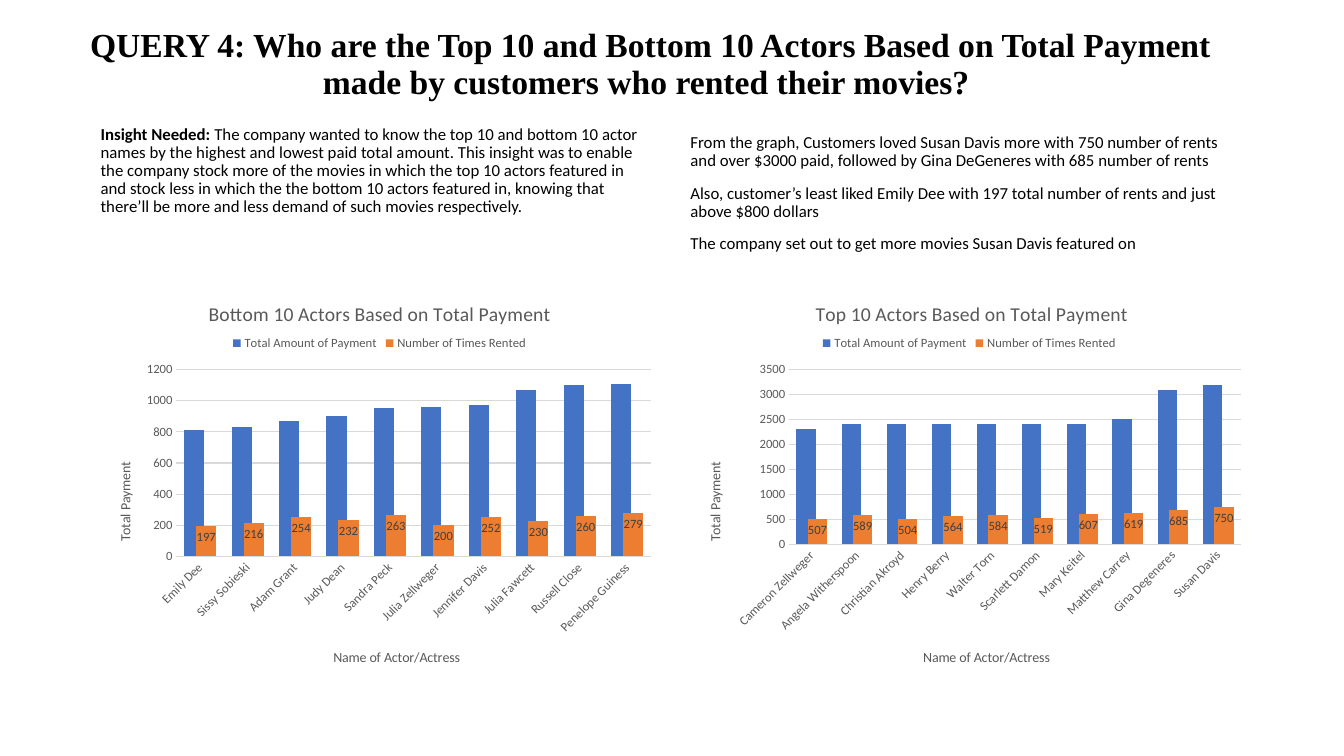
from lxml import etree
from pptx import Presentation
from pptx.chart.data import CategoryChartData
from pptx.dml.color import RGBColor
from pptx.enum.chart import XL_CHART_TYPE, XL_LABEL_POSITION, XL_LEGEND_POSITION, XL_TICK_MARK
from pptx.enum.text import MSO_ANCHOR, PP_ALIGN
from pptx.oxml import parse_xml
from pptx.oxml.ns import nsdecls, qn
from pptx.util import Inches, Pt

BLACK = RGBColor(0, 0, 0)
GRAY = RGBColor(0x59, 0x59, 0x59)
DARK = RGBColor(0x40, 0x40, 0x40)
GRID = RGBColor(0xD9, 0xD9, 0xD9)
BLUE = RGBColor(0x44, 0x72, 0xC4)
ORANGE = RGBColor(0xED, 0x7D, 0x31)

W, H = 13.33, 7.5
LEFT, RIGHT, COL_W = 0.9, 6.75, 5.67
TEXT_Y, TEXT_H = 0.98, 1.76
CHART_Y, CHART_H = TEXT_Y + TEXT_H, 4.03


def set_font(font, size, color, name="Calibri", bold=False):
    for key, value in dict(size=Pt(size), name=name, bold=bold).items():
        setattr(font, key, value)
    font.color.rgb = color


def add_text(s, box, paragraphs, anchor, bottom=0.05, align=PP_ALIGN.LEFT,
             before=10, size=12, name="Calibri"):
    """Each paragraph is a list of (text, bold) runs."""
    tf = s.shapes.add_textbox(*map(Inches, box)).text_frame
    for key, value in dict(word_wrap=True, vertical_anchor=anchor,
                           margin_bottom=Inches(bottom)).items():
        setattr(tf, key, value)
    for i, runs in enumerate(paragraphs):
        p = tf.add_paragraph() if i else tf.paragraphs[0]
        for key, value in dict(alignment=align, line_spacing=0.9,
                               space_before=Pt(before)).items():
            setattr(p, key, value)
        for text, bold in runs:
            r = p.add_run()
            r.text = text
            set_font(r.font, size, BLACK, name, bold)


def set_layout(element, inner=False, **shares):
    """Place a chart part by shares (x, y, w, h) of the chart's size."""
    for old in element.findall(qn("c:layout")):
        element.remove(old)
    layout = parse_xml(f"<c:layout {nsdecls('c')}><c:manualLayout/></c:layout>")
    values = {"layoutTarget": "inner"} if inner else {}
    values.update({f"{key}Mode": "edge" for key in "xy"}, **shares)
    for key, value in values.items():
        etree.SubElement(layout[0], qn(f"c:{key}")).set("val", str(value))
    before = [c for c in element if c.tag in (qn("c:tx"), qn("c:legendPos"))]
    element.insert(element.index(before[-1]) + 1 if before else 0, layout)


def add_title(owner, title, text, size, x, y):
    tf = title.text_frame
    tf.text = text
    set_font(tf.paragraphs[0].runs[0].font, size, GRAY)
    set_layout(title._element, x=x, y=y)
    return tf


def add_actor_chart(s, box, title, title_x, plot, top, step, actors):
    data = CategoryChartData()
    data.categories = [name for name, _, _ in actors]
    data.add_series("Total Amount of Payment", [paid for _, paid, _ in actors])
    data.add_series("Number of Times Rented", [rents for _, _, rents in actors])
    chart = s.shapes.add_chart(XL_CHART_TYPE.COLUMN_CLUSTERED, *map(Inches, box), data).chart
    set_font(chart.font, 10, BLACK)
    add_title(chart, chart.chart_title, title, 14, title_x, 0.05)
    chart.chart_title.include_in_layout = False

    # Legend
    chart.has_legend = True
    legend = chart.legend
    legend.position, legend.include_in_layout = XL_LEGEND_POSITION.TOP, False
    set_font(legend.font, 9, GRAY)
    set_layout(legend._element, x=0.24, y=0.13, w=0.53, h=0.07)

    # Columns
    bars = chart.plots[0]
    for key, value in dict(gap_width=75, overlap=40, vary_by_categories=False).items():
        setattr(bars, key, value)
    for series, color in zip(bars.series, (BLUE, ORANGE)):
        series.format.fill.solid()
        series.format.fill.fore_color.rgb = color
    labels = bars.series[1].data_labels
    labels.show_value, labels.position = True, XL_LABEL_POSITION.INSIDE_END
    set_font(labels.font, 9, DARK)

    # Axes
    for axis, text, x, y in ((chart.category_axis, "Name of Actor/Actress", 0.42, 0.91),
                             (chart.value_axis, "Total Payment", 0.04, 0.45)):
        axis.major_tick_mark = axis.minor_tick_mark = XL_TICK_MARK.NONE
        set_font(axis.tick_labels.font, 9, GRAY)
        tf = add_title(axis, axis.axis_title, text, 10, x, y)
    tf._txBody.bodyPr.set("rot", "-5400000")
    cat, val = chart.category_axis, chart.value_axis
    cat._element.find(qn("c:txPr")).find(qn("a:bodyPr")).set("rot", "-2700000")
    val.minimum_scale, val.maximum_scale, val.major_unit = 0, top, step
    val.format.line.fill.background()
    for line in (cat.format.line, val.major_gridlines.format.line):
        line.color.rgb, line.width = GRID, Pt(0.75)
    set_layout(chart._chartSpace.chart.plotArea, True, **dict(zip("xywh", plot)))


BOTTOM_ACTORS = [
    ("Emily Dee", 810, 197), ("Sissy Sobieski", 830, 216), ("Adam Grant", 870, 254),
    ("Judy Dean", 900, 232), ("Sandra Peck", 950, 263), ("Julia Zellweger", 960, 200),
    ("Jennifer Davis", 970, 252), ("Julia Fawcett", 1070, 230),
    ("Russell Close", 1100, 260), ("Penelope Guiness", 1110, 279)]
TOP_ACTORS = [
    ("Cameron Zellweger", 2300, 507), ("Angela Witherspoon", 2400, 589),
    ("Christian Akroyd", 2400, 504), ("Henry Berry", 2400, 564), ("Walter Torn", 2400, 584),
    ("Scarlett Damon", 2400, 519), ("Mary Keitel", 2400, 607), ("Matthew Carrey", 2500, 619),
    ("Gina Degeneres", 3100, 685), ("Susan Davis", 3200, 750)]

prs = Presentation()
prs.slide_width, prs.slide_height = Inches(W), Inches(H)
s = prs.slides.add_slide(prs.slide_layouts[6])

# Heading
add_text(s, (0.7, 0.35, 11.5, 0.59),
         [[("QUERY 4: Who are the Top 10 and Bottom 10 Actors Based on Total Payment "
            "made by customers who rented their movies? ", True)]],
         MSO_ANCHOR.MIDDLE, align=PP_ALIGN.CENTER, before=0, size=24, name="Times New Roman")

# Insight and findings
add_text(s, (LEFT, TEXT_Y, COL_W, TEXT_H),
         [[("Insight Needed: ", True),
           ("The company wanted to know the top 10 and bottom 10 actor names by the highest and "
            "lowest paid total amount. This insight was to enable the company stock more of the "
            "movies in which the top 10 actors featured in and stock less in which the the bottom "
            "10 actors featured in, knowing that there’ll be more and less demand of such movies "
            "respectively.", False)]], MSO_ANCHOR.MIDDLE, bottom=0.37)
add_text(s, (RIGHT, TEXT_Y, COL_W, TEXT_H),
         [[(text, False)] for text in (
             "From the graph, Customers loved Susan Davis more with 750 number of rents and over "
             "$3000 paid, followed by Gina DeGeneres with 685 number of rents",
             "Also, customer’s least liked Emily Dee with 197 total number of rents and just "
             "above $800 dollars",
             "The company set out to get more movies Susan Davis featured on")],
         MSO_ANCHOR.BOTTOM, bottom=0.23)

# Charts
add_actor_chart(s, (RIGHT, CHART_Y, COL_W, CHART_H), "Top 10 Actors Based on Total Payment",
                0.23, (0.19, 0.23, 0.79, 0.43), 3500, 500, TOP_ACTORS)
add_actor_chart(s, (LEFT, CHART_Y, COL_W, CHART_H), "Bottom 10 Actors Based on Total Payment",
                0.2, (0.15, 0.23, 0.83, 0.46), 1200, 200, BOTTOM_ACTORS)

prs.save("out.pptx")
